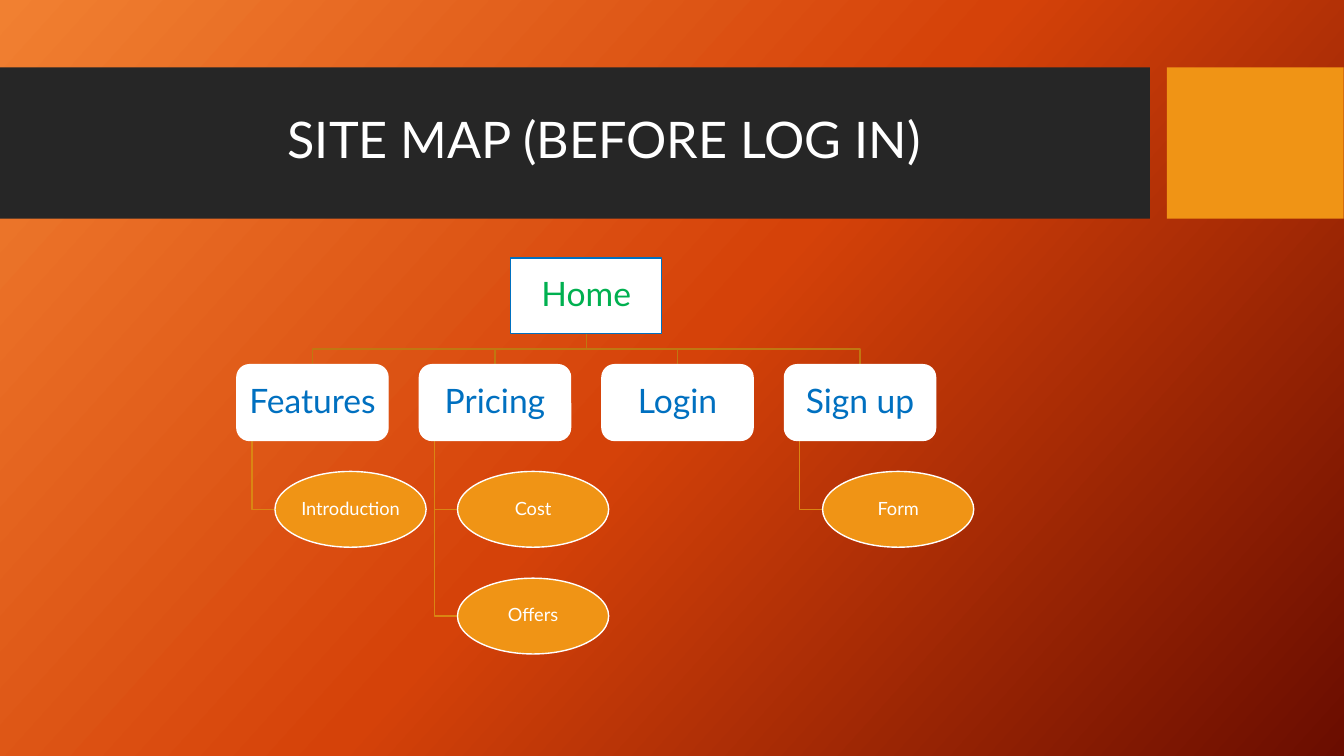
from copy import deepcopy

from lxml.etree import SubElement
from pptx import Presentation
from pptx.dml.color import RGBColor
from pptx.enum.shapes import MSO_SHAPE
from pptx.enum.text import MSO_ANCHOR, PP_ALIGN
from pptx.oxml.ns import qn
from pptx.util import Cm, Pt

FONT = "Lato"
WHITE, ORANGE, CHARCOAL = "FFFFFF", "F09415", "262626"
BLUE, GREEN = "0070C0", "00B050"
BRANCH_LINE, LEAF_LINE = "C07711", "DA8613"

NODE_WIDTH, NODE_HEIGHT = 3.81, 1.91
MAP_LEFT, MAP_TOP = 5.97, 6.5
COLUMN_STEP, ROW_STEP = 4.6, 2.69
LEAF_INDENT, TRUNK_INDENT = 0.96, 0.38

SITE_MAP = {
    "Features": ["Introduction"],
    "Pricing": ["Cost", "Offers"],
    "Login": [],
    "Sign up": ["Form"],
}
HOME_STYLE = {"kind": MSO_SHAPE.RECTANGLE, "fill": WHITE, "line": BLUE,
              "color": GREEN, "size": 24}
PAGE_STYLE = {"kind": MSO_SHAPE.ROUNDED_RECTANGLE, "fill": WHITE, "line": WHITE,
              "color": BLUE, "size": 24}
LEAF_STYLE = {"kind": MSO_SHAPE.OVAL, "fill": ORANGE, "line": WHITE,
              "color": WHITE, "size": 13}


def rgb(value):
    """Turn a hex string into a colour."""
    return RGBColor.from_string(value)


def set_attributes(target, values):
    """Set each named attribute of the target."""
    for name, value in values.items():
        setattr(target, name, value)


def paint_background(slide):
    """Give the slide its diagonal gradient of three colours."""
    fill = slide.background.fill
    fill.gradient()
    fill.gradient_angle = 360 - 42
    stop_list = slide.element.find(".//" + qn("a:gsLst"))
    stop_list.insert(1, deepcopy(stop_list[0]))
    colors = ["F18031", "D54209", "6A0D00"]
    for stop, color, position in zip(fill.gradient_stops, colors, [0, 0.5, 1]):
        stop.color.rgb = rgb(color)
        stop.position = position


def write_text(shape, text, size, color, inset):
    """Write one centred line of text in a shape."""
    frame = shape.text_frame
    set_attributes(frame, {
        "word_wrap": True, "vertical_anchor": MSO_ANCHOR.MIDDLE,
        "margin_left": Cm(inset), "margin_right": Cm(inset),
        "margin_top": Cm(inset), "margin_bottom": Cm(inset)})
    paragraph = frame.paragraphs[0]
    set_attributes(paragraph, {"alignment": PP_ALIGN.CENTER, "line_spacing": 0.9})
    run = paragraph.add_run()
    run.text = text
    set_attributes(run.font, {"name": FONT, "size": Pt(size)})
    run.font.color.rgb = rgb(color)


def add_block(slide, kind, left, top, width, height, fill, line=None):
    """Add a filled shape, outlined when a line colour is given."""
    block = slide.shapes.add_shape(kind, Cm(left), Cm(top), Cm(width), Cm(height))
    block.shadow.inherit = False
    block.fill.solid()
    block.fill.fore_color.rgb = rgb(fill)
    if line:
        block.line.color.rgb = rgb(line)
        block.line.width = Pt(1)
    else:
        block.line.fill.background()
    return block


def add_node(slide, label, left, top, style):
    """Add one labelled node of the site map."""
    node = add_block(slide, style["kind"], left, top, NODE_WIDTH, NODE_HEIGHT,
                     style["fill"], style["line"])
    write_text(node, label, style["size"], style["color"], 0.03)


def add_elbow(slide, points, color):
    """Draw an open bent line through the points."""
    start, *rest = [(Cm(x), Cm(y)) for x, y in points]
    builder = slide.shapes.build_freeform(*start)
    builder.add_line_segments(rest, close=False)
    elbow = builder.convert_to_shape()
    elbow.shadow.inherit = False
    elbow.fill.background()
    elbow.line.color.rgb = rgb(color)
    elbow.line.width = Pt(1)


def add_header(slide):
    """Add the dark title band and its accent block."""
    band_top, band_height = 1.7, 3.81
    add_block(slide, MSO_SHAPE.RECTANGLE, 0, band_top, 28.98, band_height, CHARCOAL)
    add_block(slide, MSO_SHAPE.RECTANGLE, 29.41, band_top, 4.45, band_height, ORANGE)
    title = slide.shapes.add_textbox(Cm(1.88), Cm(2.08), Cm(26.7), Cm(3))
    write_text(title, "SITE MAP (BEFORE LOG IN)", 36, WHITE, 0.2)


def add_site_map(slide):
    """Draw the lines of the tree, then its nodes."""
    home_left = MAP_LEFT + COLUMN_STEP * (len(SITE_MAP) - 1) / 2
    home_center = home_left + NODE_WIDTH / 2
    home_bottom = MAP_TOP + NODE_HEIGHT
    page_top = MAP_TOP + ROW_STEP
    turn = (home_bottom + page_top) / 2
    nodes = [("Home", home_left, MAP_TOP, HOME_STYLE)]

    for column, (page, leaves) in enumerate(SITE_MAP.items()):
        left = MAP_LEFT + column * COLUMN_STEP
        center = left + NODE_WIDTH / 2
        add_elbow(slide, [(home_center, home_bottom), (home_center, turn),
                          (center, turn), (center, page_top)], BRANCH_LINE)
        nodes.append((page, left, page_top, PAGE_STYLE))
        trunk, leaf_left = left + TRUNK_INDENT, left + LEAF_INDENT
        for row, leaf in enumerate(leaves, start=1):
            leaf_top = page_top + row * ROW_STEP
            middle = leaf_top + NODE_HEIGHT / 2
            add_elbow(slide, [(trunk, page_top + NODE_HEIGHT), (trunk, middle),
                              (leaf_left, middle)], LEAF_LINE)
            nodes.append((leaf, leaf_left, leaf_top, LEAF_STYLE))

    for node in nodes:
        add_node(slide, *node)


def main():
    """Build and save the slide."""
    deck = Presentation()
    set_attributes(deck, {"slide_width": Cm(33.87), "slide_height": Cm(19.05)})
    slide = deck.slides.add_slide(deck.slide_layouts[6])
    paint_background(slide)
    add_header(slide)
    add_site_map(slide)
    deck.save("out.pptx")


main()
